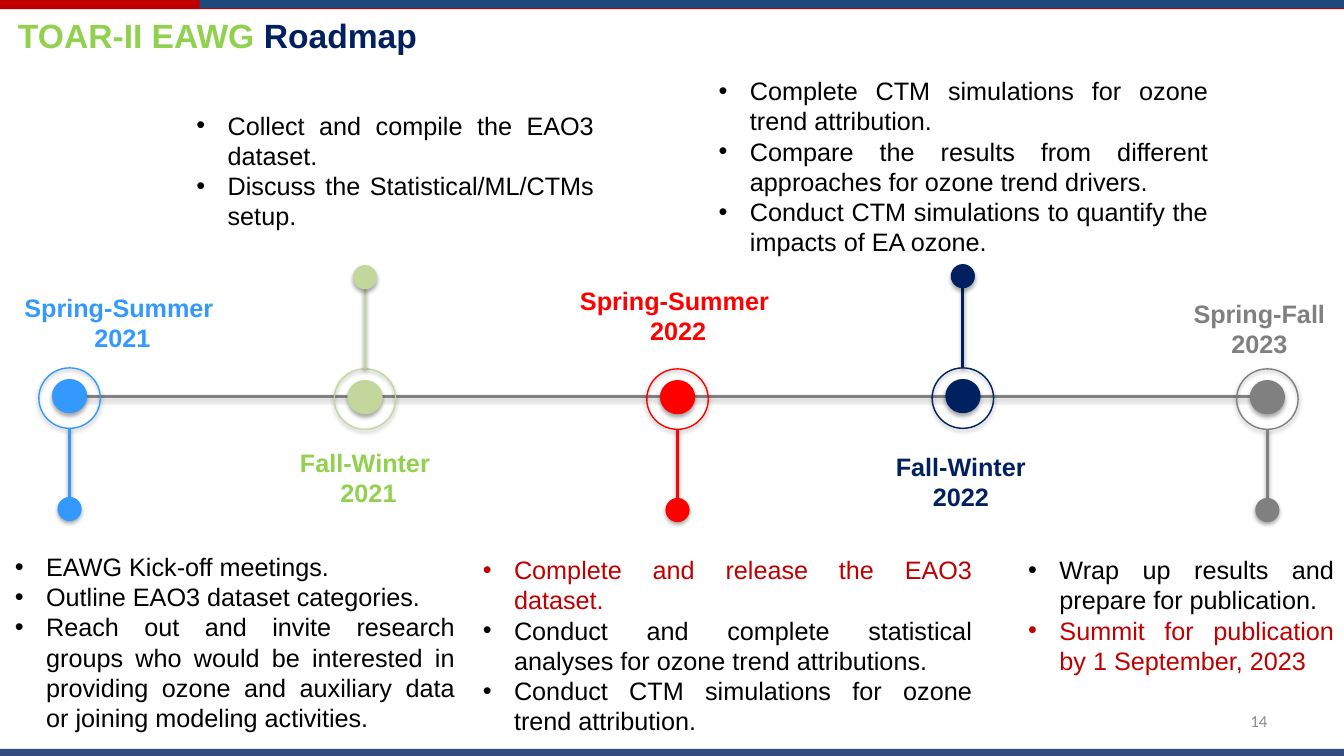
"""Builds the TOAR-II EAWG roadmap timeline slide."""
from lxml import etree
from pptx import Presentation
from pptx.dml.color import RGBColor
from pptx.enum.shapes import MSO_CONNECTOR, MSO_SHAPE
from pptx.enum.text import MSO_ANCHOR, MSO_AUTO_SIZE, PP_ALIGN
from pptx.oxml.ns import qn
from pptx.util import Inches, Pt

RECTANGLE, OVAL = MSO_SHAPE.RECTANGLE, MSO_SHAPE.OVAL
STRAIGHT = MSO_CONNECTOR.STRAIGHT
MIDDLE = MSO_ANCHOR.MIDDLE
FIT_TEXT = MSO_AUTO_SIZE.SHAPE_TO_FIT_TEXT
LEFT, CENTER, RIGHT, JUSTIFY = PP_ALIGN.LEFT, PP_ALIGN.CENTER, PP_ALIGN.RIGHT, PP_ALIGN.JUSTIFY

BLACK, CRIMSON, NAVY, LIME = "000000", "C00000", "002060", "92D050"
BLUE, SAGE, RED, GRAY = "3399FF", "C3D69B", "FF0000", "808080"
DOWN, UP = 1, -1

MILESTONES = [
    (0.69, 3.95, DOWN, BLUE),
    (3.62, 3.96, UP, SAGE),
    (6.72, 3.96, DOWN, RED),
    (9.55, 3.95, UP, NAVY),
    (12.57, 3.96, DOWN, GRAY),
]

SEASONS = [
    (0.13, 2.85, 2.17, BLUE, ["Spring-Summer ", "2021"]),
    (2.87, 4.39, 1.57, LIME, ["Fall-Winter ", "2021"]),
    (5.64, 2.78, 2.17, RED, ["Spring-Summer ", "2022"]),
    (8.78, 4.43, 1.5, NAVY, ["Fall-Winter", "2022"]),
    (11.73, 2.91, 1.52, GRAY, ["Spring-Fall", "2023"]),
]

TASKS = [
    (0.05, 5.42, 4.56, 1.92, [
        ("EAWG Kick-off meetings.", BLACK),
        ("Outline EAO3 dataset categories.", BLACK),
        ("Reach out and invite research groups who would be interested in "
         "providing ozone and auxiliary data or joining modeling activities.", BLACK),
    ]),
    (1.85, 1.04, 4.14, 1.31, [
        ("Collect and compile the EAO3 dataset. ", BLACK),
        ("Discuss the Statistical/ML/CTMs setup.", BLACK),
    ]),
    (4.69, 5.45, 5.05, 1.92, [
        ("Complete and release the EAO3 dataset. ", CRIMSON),
        ("Conduct and complete statistical analyses for ozone trend attributions.", BLACK),
        ("Conduct CTM simulations for ozone trend attribution.", BLACK),
    ]),
    (7.03, 0.7, 5.05, 1.92, [
        ("Complete CTM simulations for ozone trend attribution. ", BLACK),
        ("Compare the results from different approaches for ozone trend drivers.", BLACK),
        ("Conduct CTM simulations to quantify the impacts of EA ozone.", BLACK),
    ]),
    (10.1, 5.45, 3.23, 1.31, [
        ("Wrap up results and prepare for publication.", BLACK),
        ("Summit for publication by 1 September, 2023", CRIMSON),
    ]),
]


def rgb(value):
    """Turn a hex string into a colour."""
    return RGBColor.from_string(value)


def add_child(parent, tag, **attributes):
    """Append a DrawingML element to a parent."""
    return etree.SubElement(parent, qn(tag), {k: str(v) for k, v in attributes.items()})


def cast_shadow(shape, distance, opacity):
    """Give a shape or connector a soft shadow below it."""
    properties = shape._element.spPr
    for effects in properties.findall(qn("a:effectLst")):
        properties.remove(effects)
    effects = add_child(properties, "a:effectLst")
    shadow = add_child(effects, "a:outerShdw", blurRad=Pt(3.1), dist=Pt(distance),
                       dir=5400000, rotWithShape=0)
    color = add_child(shadow, "a:srgbClr", val=BLACK)
    add_child(color, "a:alpha", val=opacity * 1000)


def add_bar(page, left, top, width, height, color, opacity=100):
    """Draw a borderless band across the slide edge."""
    bar = page.shapes.add_shape(RECTANGLE, Inches(left), Inches(top), Inches(width), Inches(height))
    bar.shadow.inherit = False
    bar.fill.solid()
    bar.fill.fore_color.rgb = rgb(color)
    bar.line.fill.background()
    if opacity < 100:
        tint = bar._element.spPr.find(qn("a:solidFill"))[0]
        add_child(tint, "a:alpha", val=opacity * 1000)


def add_circle(page, x, y, width, height, color, filled=True):
    """Draw a shadowed disc or ring around a centre point."""
    circle = page.shapes.add_shape(OVAL, Inches(x - width / 2), Inches(y - height / 2),
                                   Inches(width), Inches(height))
    if filled:
        circle.fill.solid()
        circle.fill.fore_color.rgb = rgb(color)
        circle.line.fill.background()
    else:
        circle.fill.background()
        circle.line.color.rgb = rgb(color)
        circle.line.width = Pt(1)
    cast_shadow(circle, 1.8, 35)


def add_line(page, start_x, start_y, end_x, end_y, color):
    """Draw a shadowed straight line."""
    line = page.shapes.add_connector(STRAIGHT, Inches(start_x), Inches(start_y),
                                     Inches(end_x), Inches(end_y))
    line.line.color.rgb = rgb(color)
    line.line.width = Pt(2)
    cast_shadow(line, 1.6, 38)


def add_milestone(page, x, y, direction, color):
    """Draw a timeline marker with its stem and end ball."""
    add_circle(page, x, y - 0.02, 0.35, 0.34, color)
    add_circle(page, x, y, 0.61, 0.6, color, filled=False)
    add_line(page, x, y + direction * 0.3, x, y + direction * 1.1, color)
    ball_reach = 1.1 if direction == DOWN else 1.21
    add_circle(page, x, y + direction * ball_reach, 0.24, 0.24, color)


def add_box(page, left, top, width, height, wrap=True):
    """Add an empty text box and return its frame."""
    box = page.shapes.add_textbox(Inches(left), Inches(top), Inches(width), Inches(height))
    frame = box.text_frame
    frame.word_wrap = wrap
    frame.auto_size = FIT_TEXT
    return frame


def style(para, align, size, color=None, bold=False, name="Arial"):
    """Set the alignment and font of a paragraph."""
    para.alignment = align
    para.font.name = name
    para.font.size = Pt(size)
    para.font.bold = bold
    if color:
        para.font.color.rgb = rgb(color)


def add_bullet(para, color):
    """Give a paragraph a hanging bullet."""
    properties = para._p.get_or_add_pPr()
    properties.set("marL", str(Inches(0.31)))
    properties.set("indent", str(-Inches(0.31)))
    add_child(add_child(properties, "a:buClr"), "a:srgbClr", val=color)
    add_child(properties, "a:buFont", typeface="Arial")
    add_child(properties, "a:buChar", char="•")


def add_paragraphs(frame, texts):
    """Fill a frame with one paragraph per text and return them."""
    frame.text = "\n".join(texts)
    return frame.paragraphs


def add_season(page, left, top, width, color, lines):
    """Write the date label of a milestone."""
    for para in add_paragraphs(add_box(page, left, top, width, 0.71, wrap=False), lines):
        style(para, CENTER, 18, color, bold=True)


def add_tasks(page, left, top, width, height, items):
    """Write a justified bullet list of tasks."""
    frame = add_box(page, left, top, width, height)
    paragraphs = add_paragraphs(frame, [text for text, _ in items])
    for para, (_, color) in zip(paragraphs, items):
        add_bullet(para, color)
        style(para, JUSTIFY, 18, color)


def add_title(page):
    """Write the two-colour slide title."""
    para = add_box(page, 0.08, 0.1, 4.29, 0.5, wrap=False).paragraphs[0]
    style(para, LEFT, 24, bold=True)
    for text, color in [("TOAR-II EAWG ", LIME), ("Roadmap", NAVY)]:
        span = para.add_run()
        span.text = text
        span.font.color.rgb = rgb(color)


def add_page_number(page, number):
    """Write the page number at the lower right."""
    frame = add_box(page, 9.56, 6.95, 3.11, 0.4)
    frame.auto_size = MSO_AUTO_SIZE.NONE
    frame.vertical_anchor = MIDDLE
    style(add_paragraphs(frame, [number])[0], RIGHT, 12, "8C8C8C", name="Calibri")


def main():
    """Build the slide and save the deck."""
    deck = Presentation()
    deck.slide_width, deck.slide_height = Inches(13.33), Inches(7.5)
    page = deck.slides.add_slide(deck.slide_layouts[6])
    add_bar(page, 0, 0, 13.33, 0.09, CRIMSON)
    add_bar(page, 1.98, 0, 11.35, 0.08, "1F497D")
    add_bar(page, 0, 7.43, 13.33, 0.16, NAVY, opacity=80)
    add_page_number(page, "14")
    add_title(page)
    add_line(page, 0.75, 3.93, 12.61, 3.93, GRAY)
    for add_element, entries in [(add_milestone, MILESTONES), (add_season, SEASONS), (add_tasks, TASKS)]:
        for entry in entries:
            add_element(page, *entry)
    deck.save("out.pptx")


if __name__ == "__main__":
    main()
